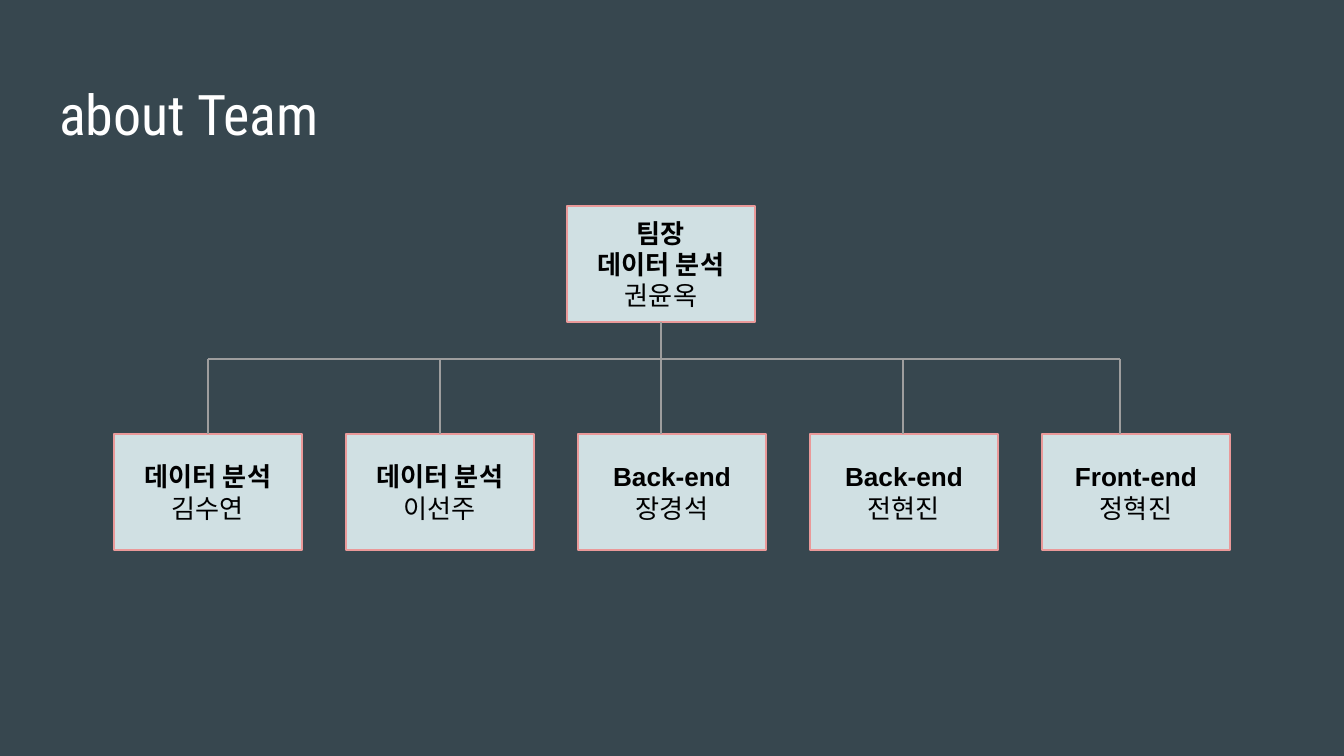
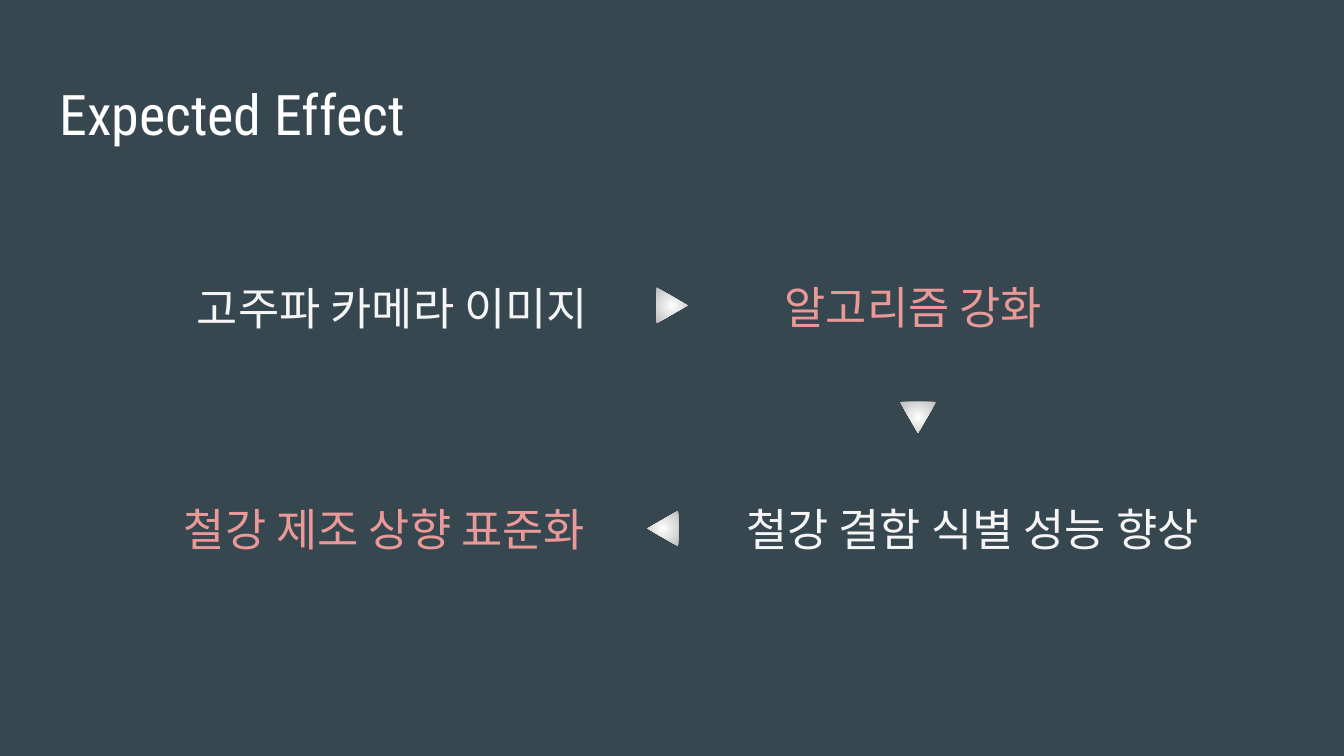
from dataclasses import dataclass

from lxml import etree
from pptx import Presentation
from pptx import util as u
from pptx.dml.color import RGBColor
from pptx.enum import shapes, text
from pptx.oxml import parse_xml
from pptx.oxml.ns import qn
from pptx.shapes.autoshape import Shape
from pptx.slide import Slide

SLIDE_W, SLIDE_H = 1344, 756
EMU_PER_PX = u.Inches(10) / SLIDE_W
BACKGROUND = RGBColor(0x37, 0x47, 0x4F)
WHITE = RGBColor(0xFF, 0xFF, 0xFF)
OFF_WHITE = RGBColor(0xF5, 0xF5, 0xF5)
BLACK = RGBColor(0x00, 0x00, 0x00)
PINK = RGBColor(0xEA, 0x99, 0x99)
PALE_TEAL = RGBColor(0xD0, 0xE0, 0xE3)
GREY = RGBColor(0x9E, 0x9E, 0x9E)
TITLE_FONT, BODY_FONT = "Roboto Condensed", "Arial"

CARD_W, CARD_H, CARD_STEP = 188, 116, 232
LEAD_X, LEAD_Y = 567, 206
MEMBER_X, MEMBER_Y = 114, 434
BUS_Y = 359
STEP_W, STEP_H = 527, 105
ARROW_W, ARROW_H = 36, 31

ARROW_FILL = (
    '<a:gradFill xmlns:a="http://schemas.openxmlformats.org/drawingml/2006/main"><a:gsLst>'
    '<a:gs pos="0"><a:srgbClr val="FFFFFF"/></a:gs>'
    '<a:gs pos="100000"><a:srgbClr val="BEBEBE"/></a:gs></a:gsLst>'
    '<a:path path="circle"><a:fillToRect l="50000" t="50000" r="50000" b="50000"/></a:path>'
    "</a:gradFill>"
)


@dataclass(frozen=True)
class Member:
    """A team member and the x of the line that leads to the card."""

    role: str
    name: str
    line_x: int


@dataclass(frozen=True)
class Step:
    """One statement in the chain of effects."""

    label: str
    x: int
    y: int
    color: RGBColor


@dataclass(frozen=True)
class Arrow:
    """A triangle that points to the next step."""

    x: int
    y: int
    rotation: int


MEMBERS = (
    Member("데이터 분석", "김수연", 208),
    Member("데이터 분석", "이선주", 440),
    Member("Back-end", "장경석", 661),
    Member("Back-end", "전현진", 903),
    Member("Front-end", "정혁진", 1120),
)
STEPS = (
    Step("철강 결함 식별 성능 향상", 709, 476, OFF_WHITE),
    Step("고주파 카메라 이미지", 129, 255, OFF_WHITE),
    Step("알고리즘 강화", 650, 254, PINK),
    Step("철강 제조 상향 표준화", 121, 476, PINK),
)
ARROWS = (Arrow(654, 290, 90), Arrow(645, 513, 270), Arrow(900, 402, 180))


def px(n: int) -> u.Emu:
    """Turn pixels into EMU."""
    return u.Emu(round(n * EMU_PER_PX))


def box(x: int, y: int, w: int, h: int) -> tuple[u.Emu, ...]:
    """Turn a pixel rectangle into EMU."""
    return px(x), px(y), px(w), px(h)


def write(
    sp: Shape,
    lines: list[str],
    size: int,
    color: RGBColor,
    font: str = BODY_FONT,
    align: text.PP_ALIGN = text.PP_ALIGN.CENTER,
    anchor: text.MSO_ANCHOR = text.MSO_ANCHOR.MIDDLE,
) -> None:
    """Fill a shape with evenly styled lines."""
    tf = sp.text_frame
    tf.word_wrap = True
    tf.vertical_anchor = anchor
    tf.margin_left = tf.margin_right = tf.margin_top = tf.margin_bottom = u.Inches(0.1)
    tf.text = "\n".join(lines)
    for p in tf.paragraphs:
        p.alignment = align
        p.font.name, p.font.size = font, u.Pt(size)
        p.font.color.rgb = color


def add_titled_slide(prs: Presentation, title: str) -> Slide:
    """Add a dark slide with its title."""
    s = prs.slides.add_slide(prs.slide_layouts[6])
    s.background.fill.solid()
    s.background.fill.fore_color.rgb = BACKGROUND
    sp = s.shapes.add_textbox(*box(46, 66, 1252, 85))
    write(sp, [title], 30, WHITE, TITLE_FONT, text.PP_ALIGN.LEFT, text.MSO_ANCHOR.TOP)
    return s


def add_card(s: Slide, x: int, y: int, roles: list[str], name: str) -> None:
    """Draw a card with bold roles above a name."""
    sp = s.shapes.add_shape(shapes.MSO_SHAPE.RECTANGLE, *box(x, y, CARD_W, CARD_H))
    sp.shadow.inherit = False
    sp.fill.solid()
    sp.fill.fore_color.rgb = PALE_TEAL
    sp.line.color.rgb = PINK
    sp.line.width = u.Pt(0.75)
    write(sp, [*roles, name], 14, BLACK)
    for p in sp.text_frame.paragraphs[:-1]:
        p.font.bold = True


def add_line(s: Slide, x1: int, y1: int, x2: int, y2: int) -> None:
    """Draw a thin grey line without a shadow."""
    line = s.shapes.add_connector(
        shapes.MSO_CONNECTOR.STRAIGHT, px(x1), px(y1), px(x2), px(y2)
    )
    line.line.color.rgb = GREY
    line.line.width = u.Pt(0.75)
    etree.SubElement(line._element.spPr, qn("a:effectLst"))


def add_step(s: Slide, step: Step) -> None:
    """Write one step of the chain."""
    sp = s.shapes.add_textbox(*box(step.x, step.y, STEP_W, STEP_H))
    write(sp, [step.label], 24, step.color)


def add_arrow(s: Slide, arrow: Arrow) -> None:
    """Draw a triangle with a radial gradient."""
    sp = s.shapes.add_shape(
        shapes.MSO_SHAPE.ISOSCELES_TRIANGLE, *box(arrow.x, arrow.y, ARROW_W, ARROW_H)
    )
    sp.rotation = arrow.rotation
    sp.shadow.inherit = False
    sp.line.fill.background()
    sp._element.spPr.find(qn("a:prstGeom")).addnext(parse_xml(ARROW_FILL))


def build_team(prs: Presentation) -> None:
    """Build the team chart."""
    s = add_titled_slide(prs, "about Team")
    add_card(s, LEAD_X, LEAD_Y, ["팀장", "데이터 분석"], "권윤옥")
    for i, member in enumerate(MEMBERS):
        add_card(s, MEMBER_X + i * CARD_STEP, MEMBER_Y, [member.role], member.name)
    lead_line_x = LEAD_X + CARD_W // 2
    add_line(s, lead_line_x, LEAD_Y + CARD_H, lead_line_x, BUS_Y)
    add_line(s, MEMBERS[0].line_x, BUS_Y, MEMBERS[-1].line_x, BUS_Y)
    for member in MEMBERS:
        add_line(s, member.line_x, MEMBER_Y, member.line_x, BUS_Y)


def build_effect(prs: Presentation) -> None:
    """Build the chain of expected effects."""
    s = add_titled_slide(prs, "Expected Effect")
    for step in STEPS:
        add_step(s, step)
    for arrow in ARROWS:
        add_arrow(s, arrow)


def main() -> None:
    """Build and save the presentation."""
    prs = Presentation()
    prs.slide_width, prs.slide_height = px(SLIDE_W), px(SLIDE_H)
    build_team(prs)
    build_effect(prs)
    prs.save("out.pptx")


if __name__ == "__main__":
    main()
